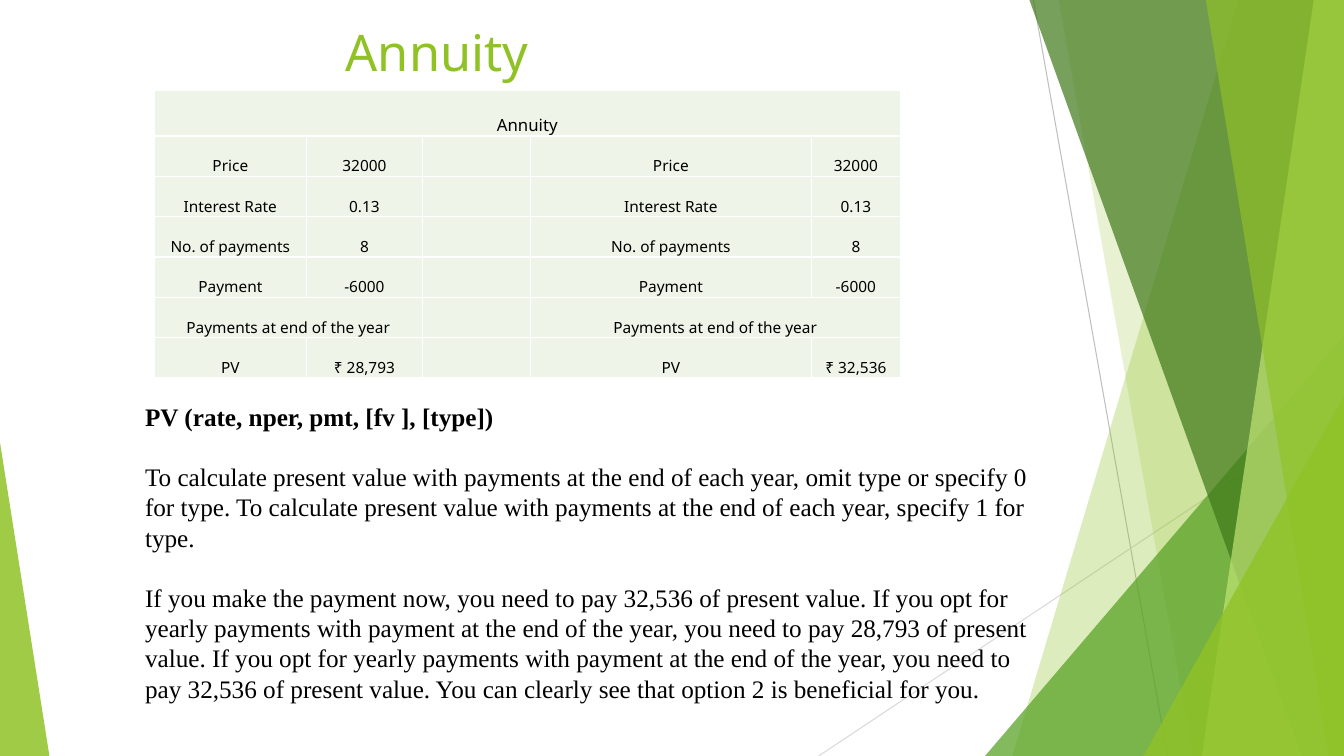
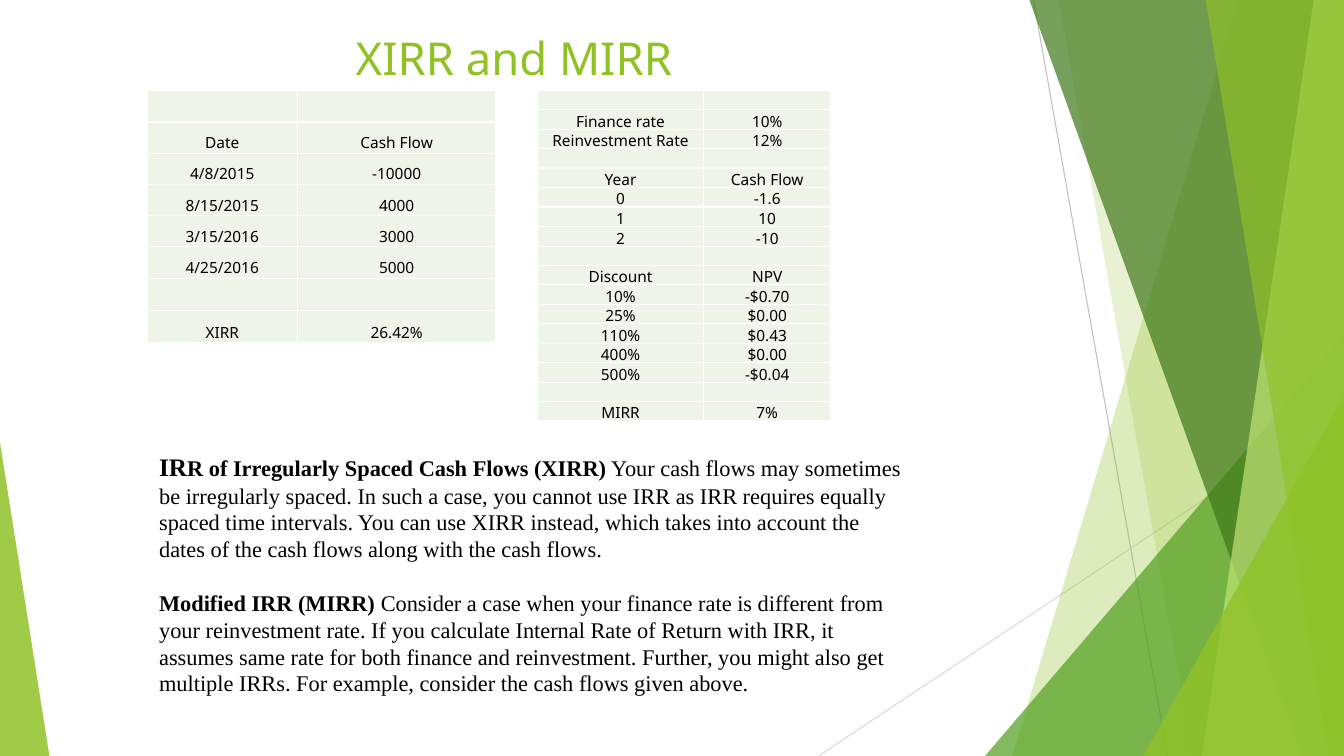
"""Build two finance slides with a shared green facet frame."""
from typing import NamedTuple

from lxml import etree
from pptx import Presentation
from pptx import util as u
from pptx.dml.color import RGBColor
from pptx.enum import shapes, text
from pptx.oxml.ns import qn

GREEN = RGBColor(0x90, 0xC2, 0x26)
LEAF = RGBColor(0x54, 0xA0, 0x21)
DARK = RGBColor(0x3F, 0x78, 0x19)
LIME = RGBColor(0xC0, 0xE4, 0x74)
PALE = RGBColor(0xEE, 0xF4, 0xE8)
GREY = RGBColor(0xBF, 0xBF, 0xBF)
SILVER = RGBColor(0xD9, 0xD9, 0xD9)
WHITE = RGBColor(0xFF, 0xFF, 0xFF)
BLACK = RGBColor(0, 0, 0)
SANS = "Noto Sans"
SERIF = "Times New Roman"
WIDE, HIGH = 13.33, 7.5


class Ray(NamedTuple):
    start: tuple[float, float]
    end: tuple[float, float]
    color: RGBColor


class Facet(NamedTuple):
    top: float
    base: float
    color: RGBColor
    alpha: int


class Wedge(NamedTuple):
    left: float
    top: float
    width: float
    peak: float
    color: RGBColor
    alpha: int


class Run(NamedTuple):
    words: str
    size: float
    bold: bool = False


class Grid(NamedTuple):
    left: float
    cols: list[float]
    rows: list[float]
    cells: list[list[str]]
    spans: list[tuple[int, int, int]] = []


RAYS = [
    Ray((10.25, 0), (11.58, HIGH), GREY),
    Ray((WIDE, 4.03), (8.12, HIGH), SILVER),
]
FRAME = [
    Facet(12.28, 10.04, GREEN, 30),
    Facet(10.5, 11.83, GREEN, 20),
    Wedge(9.77, 3.33, 3.56, 1, LEAF, 72),
    Facet(10.21, 12.91, DARK, 70),
    Facet(13.03, 11.92, LIME, 70),
    Facet(11.96, 13.18, GREEN, 65),
    Wedge(11.34, 3.93, 1.99, 1, GREEN, 80),
    Wedge(0, 4.39, 0.49, 0, GREEN, 85),
]

TERMS = [["Price", "32000"], ["Interest Rate", "0.13"], ["No. of payments", "8"],
         ["Payment", "-6000"], ["Payments at end of the year", ""]]
LOAN = Grid(
    1.53, [1.51, 1.15, 1.07, 2.79, 0.88], [0.45] + [0.4] * 6,
    [["Annuity", "", "", "", ""]]
    + [[*term, "", *term] for term in TERMS]
    + [["PV", "₹ 28,793", "", "PV", "₹ 32,536"]],
    [(0, 0, 4), (5, 0, 1), (5, 3, 4)],
)
DATED = Grid(
    1.46, [1.49, 1.97], [0.31] * 6 + [0.32] * 2,
    [["", ""], ["Date", "Cash Flow"], ["4/8/2015", "-10000"], ["8/15/2015", "4000"],
     ["3/15/2016", "3000"], ["4/25/2016", "5000"], ["", ""], ["XIRR", "26.42%"]],
)
RATES = Grid(
    5.33, [1.65, 1.26], [0.19] * 17,
    [["", ""], ["Finance rate", "10%"], ["Reinvestment Rate", "12%"], ["", ""],
     ["Year", "Cash Flow"], ["0", "-1.6"], ["1", "10"], ["2", "-10"], ["", ""],
     ["Discount", "NPV"], ["10%", "-$0.70"], ["25%", "$0.00"], ["110%", "$0.43"],
     ["400%", "$0.00"], ["500%", "-$0.04"], ["", ""], ["MIRR", "7%"]],
)
LOAN_TEXT = [
    [Run("PV (rate, nper, pmt, [fv ], [type])", 18, True)],
    [Run("To calculate present value with payments at the end of each year, omit type or "
         "specify 0 for type. To calculate present value with payments at the end of each "
         "year, specify 1 for type.", 18)],
    [Run("If you make the payment now, you need to pay 32,536 of present value. If you opt "
         "for yearly payments with payment at the end of the year, you need to pay 28,793 of "
         "present value. If you opt for yearly payments with payment at the end of the year, "
         "you need to pay 32,536 of present value. You can clearly see that option 2 is "
         "beneficial for you.", 18)],
]
RATE_TEXT = [
    [Run("IR", 18, True), Run("R of Irregularly Spaced Cash Flows (XIRR)", 16, True),
     Run(" Your cash flows may sometimes be irregularly spaced. In such a case, you cannot "
         "use IRR as IRR requires equally spaced time intervals. You can use XIRR instead, "
         "which takes into account the dates of the cash flows along with the cash flows.", 16)],
    [Run("Modified IRR (MIRR) ", 16, True),
     Run("Consider a case when your finance rate is different from your reinvestment rate. If "
         "you calculate Internal Rate of Return with IRR, it assumes same rate for both finance "
         "and reinvestment. Further, you might also get multiple IRRs. For example, consider "
         "the cash flows given above.", 16)],
]


def write(para, words: str, *, size: float, font: str = SANS,
          color: RGBColor = BLACK, bold: bool = False) -> None:
    """Add one formatted run to a paragraph."""
    run = para.add_run()
    run.text = words
    run.font.size = u.Pt(size)
    run.font.name = font
    run.font.bold = bold
    run.font.color.rgb = color


def paint(shape, color: RGBColor, alpha: int) -> None:
    """Fill a shape with a see-through colour."""
    shape.shadow.inherit = False
    shape.line.fill.background()
    shape.fill.solid()
    shape.fill.fore_color.rgb = color
    tint = shape.fill._xPr.find(qn("a:solidFill"))[0]
    etree.SubElement(tint, qn("a:alpha")).set("val", str(alpha * 1000))


def draw_ray(slide, ray: Ray) -> None:
    """Draw one thin line."""
    ends = [u.Inches(n) for n in (*ray.start, *ray.end)]
    line = slide.shapes.add_connector(shapes.MSO_CONNECTOR.STRAIGHT, *ends)
    line.line.color.rgb = ray.color
    line.line.width = u.Pt(0.75)
    etree.SubElement(line._element.spPr, qn("a:effectLst"))


def draw_facet(slide, facet: Facet) -> None:
    """Draw a full-height panel with a slanted left side."""
    spots = [(u.Inches(x), u.Inches(y)) for x, y in
             ((facet.top, 0), (WIDE, 0), (WIDE, HIGH), (facet.base, HIGH))]
    path = slide.shapes.build_freeform(*spots[0])
    path.add_line_segments(spots[1:], close=True)
    paint(path.convert_to_shape(), facet.color, facet.alpha)


def draw_wedge(slide, wedge: Wedge) -> None:
    """Draw a right triangle that stands on the slide's lower edge."""
    shape = slide.shapes.add_shape(
        shapes.MSO_SHAPE.ISOSCELES_TRIANGLE, u.Inches(wedge.left), u.Inches(wedge.top),
        u.Inches(wedge.width), u.Inches(HIGH - wedge.top))
    shape.adjustments[0] = wedge.peak
    paint(shape, wedge.color, wedge.alpha)


def add_box(slide, left: float, top: float, width: float, height: float):
    """Add a wrapping text box and return its frame."""
    box = slide.shapes.add_textbox(*(u.Inches(n) for n in (left, top, width, height)))
    box.text_frame.word_wrap = True
    return box.text_frame


def add_page(deck, title: str, left: float, top: float, size: float):
    """Add a slide with the shared frame and a title."""
    slide = deck.slides.add_slide(deck.slide_layouts[6])
    for ray in RAYS:
        draw_ray(slide, ray)
    for part in FRAME:
        if isinstance(part, Facet):
            draw_facet(slide, part)
        else:
            draw_wedge(slide, part)
    frame = add_box(slide, left, top, 10.14 - left, 0.89 - top)
    frame.vertical_anchor = text.MSO_ANCHOR.MIDDLE
    write(frame.paragraphs[0], title, size=size, color=GREEN)
    return slide


def add_body(slide, left: float, top: float, width: float, height: float,
             paras: list[list[Run]], gap: float) -> None:
    """Add serif paragraphs set apart by a gap in points."""
    frame = add_box(slide, left, top, width, height)
    for i, runs in enumerate(paras):
        para = frame.add_paragraph() if i else frame.paragraphs[0]
        para.space_before = u.Pt(gap if i else 0)
        for run in runs:
            write(para, run.words, size=run.size, font=SERIF, bold=run.bold)


def rule_cell(cell) -> None:
    """Give a cell white borders on all sides."""
    props = cell._tc.get_or_add_tcPr()
    for i, side in enumerate(("lnL", "lnR", "lnT", "lnB")):
        line = etree.Element(qn(f"a:{side}"), w=str(u.Pt(1)))
        fill = etree.SubElement(line, qn("a:solidFill"))
        etree.SubElement(fill, qn("a:srgbClr")).set("val", str(WHITE))
        props.insert(i, line)


def fill_cell(cell, words: str, size: float) -> None:
    """Format one cell and write its words."""
    cell.fill.solid()
    cell.fill.fore_color.rgb = PALE
    rule_cell(cell)
    cell.vertical_anchor = text.MSO_ANCHOR.BOTTOM
    cell.margin_left = cell.margin_right = cell.margin_top = u.Inches(0.01)
    cell.margin_bottom = 0
    para = cell.text_frame.paragraphs[0]
    para.alignment = text.PP_ALIGN.CENTER
    if words:
        write(para, words, size=size)
    else:
        etree.SubElement(para._p, qn("a:endParaRPr")).set("sz", "1000")


def add_grid(slide, grid: Grid, head: float = 11) -> None:
    """Draw a pale table, with its first row at the head size."""
    table = slide.shapes.add_table(
        len(grid.rows), len(grid.cols), u.Inches(grid.left), u.Inches(0.9),
        u.Inches(sum(grid.cols)), u.Inches(sum(grid.rows))).table
    table.first_row = table.horz_banding = False
    for col, width in zip(table.columns, grid.cols):
        col.width = u.Inches(width)
    for row, height in zip(table.rows, grid.rows):
        row.height = u.Inches(height)
    for r, line in enumerate(grid.cells):
        for c, words in enumerate(line):
            fill_cell(table.cell(r, c), words, 11 if r else head)
    for row, first, last in grid.spans:
        table.cell(row, first).merge(table.cell(row, last))


def main() -> None:
    """Build and save the deck."""
    deck = Presentation()
    deck.slide_width, deck.slide_height = u.Inches(WIDE), u.Inches(HIGH)

    page = add_page(deck, "Annuity", 3.33, 0.13, 36)
    add_grid(page, LOAN, head=12)
    add_body(page, 1.34, 3.93, 9.21, 3.43, LOAN_TEXT, 21.5)

    page = add_page(deck, "XIRR and MIRR", 3.43, 0.25, 32.4)
    add_grid(page, DATED)
    add_grid(page, RATES)
    add_body(page, 1.48, 4.43, 7.61, 3.16, RATE_TEXT, 19)

    deck.save("out.pptx")


if __name__ == "__main__":
    main()
